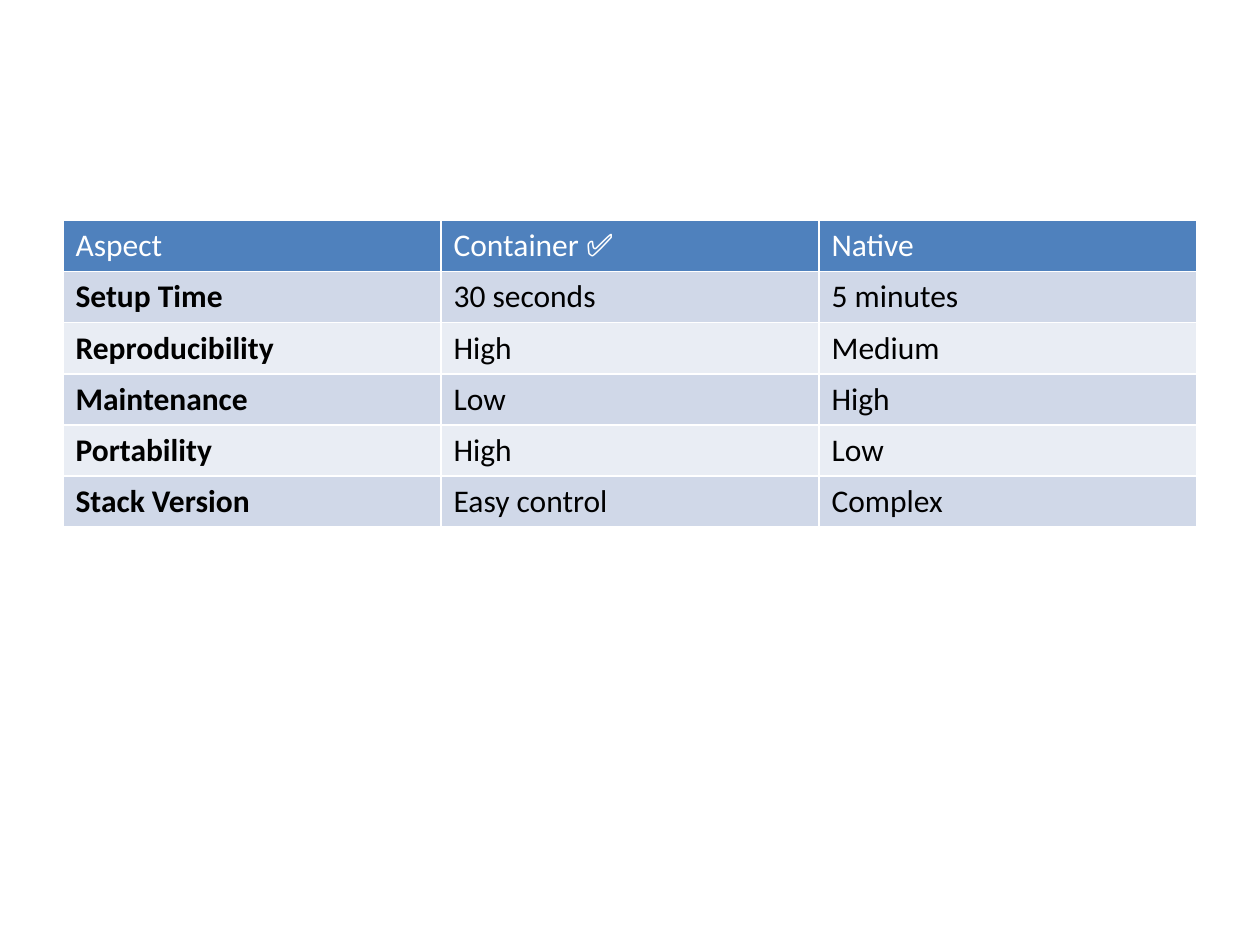
"""Build a slide with a table comparing container and native setups."""
from pptx import Presentation
from pptx.dml.color import RGBColor
from pptx.util import Inches, Pt

HEADER = ("Aspect", "Container ✅", "Native")
ASPECTS = [
    ("Setup Time", "30 seconds", "5 minutes"),
    ("Reproducibility", "High", "Medium"),
    ("Maintenance", "Low", "High"),
    ("Portability", "High", "Low"),
    ("Stack Version", "Easy control", "Complex"),
]
HEADER_FILL, BAND_FILLS = "4F81BD", ("D0D8E8", "E9EDF4")
HEADER_INK, BODY_INK = "FFFFFF", "000000"
SLIDE_WIDTH, SLIDE_HEIGHT = 10, 7.5
MARGIN, TOP, ROW_HEIGHT = 0.5, 1.75, 0.4
BLANK_LAYOUT = 6


def colour(hex_string):
    return RGBColor.from_string(hex_string)


def fill_row(row, texts, fill, ink, bold_label):
    for column, (cell, text) in enumerate(zip(row.cells, texts)):
        cell.fill.solid()
        cell.fill.fore_color.rgb = colour(fill)
        cell.text = text
        font = cell.text_frame.paragraphs[0].font
        font.name, font.size = "Calibri", Pt(18)
        font.bold = bold_label and column == 0
        font.color.rgb = colour(ink)


def main():
    deck = Presentation()
    deck.slide_width, deck.slide_height = Inches(SLIDE_WIDTH), Inches(SLIDE_HEIGHT)
    slide = deck.slides.add_slide(deck.slide_layouts[BLANK_LAYOUT])
    row_count = len(ASPECTS) + 1
    comparison = slide.shapes.add_table(
        row_count, len(HEADER), Inches(MARGIN), Inches(TOP),
        Inches(SLIDE_WIDTH - 2 * MARGIN), Inches(ROW_HEIGHT * row_count)).table
    fill_row(comparison.rows[0], HEADER, HEADER_FILL, HEADER_INK, False)
    for index, aspect in enumerate(ASPECTS):
        band = BAND_FILLS[index % len(BAND_FILLS)]
        fill_row(comparison.rows[index + 1], aspect, band, BODY_INK, True)
    deck.save("out.pptx")


if __name__ == "__main__":
    main()
